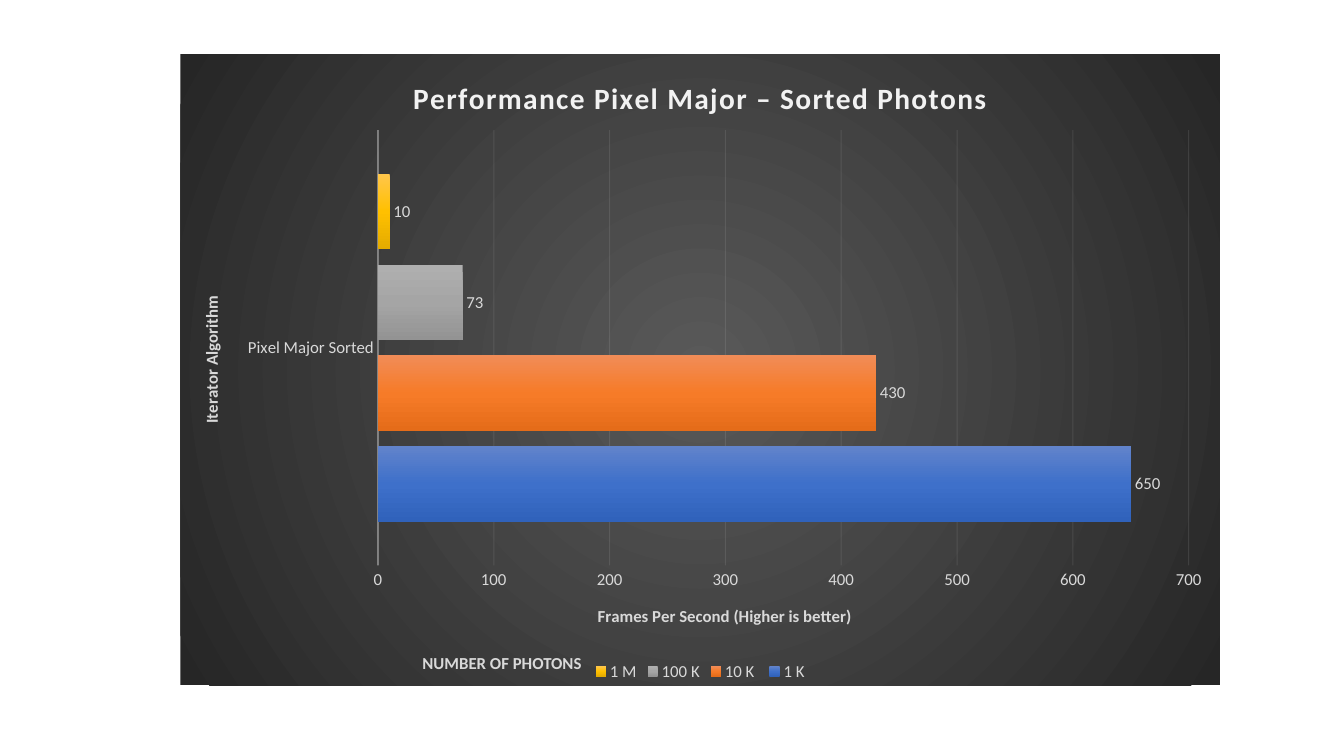
from dataclasses import dataclass

from lxml.etree import SubElement
from pptx import Presentation
from pptx.chart.axis import CategoryAxis, ValueAxis
from pptx.chart.chart import Chart
from pptx.chart.data import CategoryChartData
from pptx.dml.color import RGBColor
from pptx.enum.chart import XL_CHART_TYPE as ChartType
from pptx.enum.chart import XL_LABEL_POSITION as LabelPosition
from pptx.enum.chart import XL_LEGEND_POSITION as LegendPosition
from pptx.enum.chart import XL_TICK_MARK as TickMark
from pptx.enum.text import MSO_AUTO_SIZE as AutoSize
from pptx.enum.text import PP_ALIGN as Align
from pptx.oxml import parse_xml
from pptx.oxml.ns import nsdecls, qn
from pptx.text.text import Font, TextFrame
from pptx.util import Inches, Pt

WIDTH, HEIGHT = Inches(13.33), Inches(7.5)
LIGHT, PALE = "D9D9D9", "F2F2F2"
RADIAL = '<a:path path="circle"><a:fillToRect l="50000" t="50000" r="50000" b="50000"/></a:path>'
DOWNWARD = '<a:lin ang="5400000" scaled="0"/>'


@dataclass(frozen=True)
class PhotonSeries:
    """One bar: its legend name, frame rate and gradient colours."""

    name: str
    frames: int
    colors: tuple[str, ...]


PHOTON_SERIES = (
    PhotonSeries("1 K", 650, ("6183CB", "3E70CA", "3062BB")),
    PhotonSeries("10 K ", 430, ("F18C57", "F67B28", "E56C19")),
    PhotonSeries("100 K", 73, ("AFAFAF", "A5A5A5", "939393")),
    PhotonSeries("1 M", 10, ("FFC64B", "FFC000", "E3AB00")),
)


def rgb(color: str) -> RGBColor:
    """Turn a hex string into a colour."""
    return RGBColor.from_string(color)


def format_font(font: Font, size: float = 12, color: str = LIGHT, bold: bool = False) -> None:
    """Apply the slide's typeface with a size, colour and weight."""
    font.name, font.size, font.bold = "Calibri", Pt(size), bold
    font.color.rgb = rgb(color)


def write_text(frame: TextFrame, text: str, spacing: int = 0, **style) -> None:
    """Write one centred, formatted paragraph, with letter spacing in hundredths of a point."""
    paragraph = frame.paragraphs[0]
    paragraph.alignment = Align.CENTER
    run = paragraph.add_run()
    run.text = text
    format_font(run.font, **style)
    if spacing:
        run.font._element.set("spc", str(spacing))


def gradient(colors: tuple[str, ...], direction: str):
    """Build a gradient fill with evenly spaced stops."""
    step = 100000 // (len(colors) - 1)
    stops = "".join(
        f'<a:gs pos="{index * step}"><a:srgbClr val="{color}"/></a:gs>'
        for index, color in enumerate(colors)
    )
    return parse_xml(
        f'<a:gradFill {nsdecls("a")} rotWithShape="1"><a:gsLst>{stops}</a:gsLst>{direction}</a:gradFill>'
    )


def format_line(line, width: float, opacity: int) -> None:
    """Draw a pale line with an opacity in percent."""
    line.width = Pt(width)
    line.color.rgb = rgb(PALE)
    for color in line._ln.iter(qn("a:srgbClr")):
        SubElement(color, qn("a:alpha")).set("val", str(opacity * 1000))


def format_axis(axis: CategoryAxis | ValueAxis, title: str) -> None:
    """Set an axis title, its label font and its lack of ticks."""
    axis.major_tick_mark = axis.minor_tick_mark = TickMark.NONE
    format_font(axis.tick_labels.font)
    write_text(axis.axis_title.text_frame, title, bold=True)


def place_plot(chart: Chart, left: float, top: float, width: float, height: float) -> None:
    """Fix the inner plot area, in shares of the chart's size."""
    plot_area = chart.element.find(".//" + qn("c:plotArea"))
    for old_layout in plot_area.findall(qn("c:layout")):
        plot_area.remove(old_layout)
    shares = "".join(
        f'<c:{tag} val="{value}"/>'
        for tag, value in (("x", left), ("y", top), ("w", width), ("h", height))
    )
    plot_area.insert(0, parse_xml(
        f'<c:layout {nsdecls("c")}><c:manualLayout><c:layoutTarget val="inner"/>'
        f'<c:xMode val="edge"/><c:yMode val="edge"/>{shares}</c:manualLayout></c:layout>'
    ))


def format_chart(chart: Chart) -> None:
    """Style the title, axes, legend, bars and background."""
    format_font(chart.font, size=10, color="000000")
    write_text(chart.chart_title.text_frame, "Performance Pixel Major – Sorted Photons",
               spacing=100, size=21, color=PALE, bold=True)
    chart.chart_title.include_in_layout = False

    category_axis, value_axis = chart.category_axis, chart.value_axis
    format_axis(category_axis, "Iterator Algorithm")
    category_axis.axis_title.text_frame._txBody.bodyPr.set("rot", "-5400000")
    format_line(category_axis.format.line, 1, 54)
    format_axis(value_axis, "Frames Per Second (Higher is better)")
    value_axis.minimum_scale, value_axis.maximum_scale, value_axis.major_unit = 0, 700, 100
    value_axis.format.line.fill.background()
    format_line(value_axis.major_gridlines.format.line, 0.75, 10)

    chart.has_legend = True
    chart.legend.position = LegendPosition.BOTTOM
    chart.legend.include_in_layout = False
    format_font(chart.legend.font)

    plot = chart.plots[0]
    plot.gap_width, plot.overlap, plot.vary_by_categories = 115, -20, False
    for series, photons in zip(plot.series, PHOTON_SERIES):
        series._element.get_or_add_spPr().append(gradient(photons.colors, DOWNWARD))
        labels = series.data_labels
        labels.show_value, labels.position = True, LabelPosition.OUTSIDE_END
        format_font(labels.font)

    background = parse_xml(f'<c:spPr {nsdecls("c", "a")}><a:ln><a:noFill/></a:ln></c:spPr>')
    background.insert(0, gradient(("595959", "262626"), RADIAL))
    chart.element.find(qn("c:chart")).addnext(background)
    place_plot(chart, 0.19, 0.12, 0.78, 0.69)


def main() -> None:
    """Build and save the slide."""
    presentation = Presentation()
    presentation.slide_width, presentation.slide_height = WIDTH, HEIGHT
    slide = presentation.slides.add_slide(presentation.slide_layouts[6])
    shapes = slide.shapes.add_group_shape().shapes

    data = CategoryChartData()
    data.categories = ["Pixel Major Sorted"]
    for photons in PHOTON_SERIES:
        data.add_series(photons.name, [photons.frames])
    chart_frame = shapes.add_chart(ChartType.BAR_CLUSTERED, Inches(1.79), Inches(0.54),
                                   Inches(10.31), Inches(6.26), data)
    format_chart(chart_frame.chart)

    legend_caption = shapes.add_textbox(Inches(4.08), Inches(6.43), Inches(1.8), Inches(0.3))
    legend_caption.text_frame.word_wrap = False
    legend_caption.text_frame.auto_size = AutoSize.SHAPE_TO_FIT_TEXT
    write_text(legend_caption.text_frame, "NUMBER OF PHOTONS", bold=True)
    presentation.save("out.pptx")


if __name__ == "__main__":
    main()
